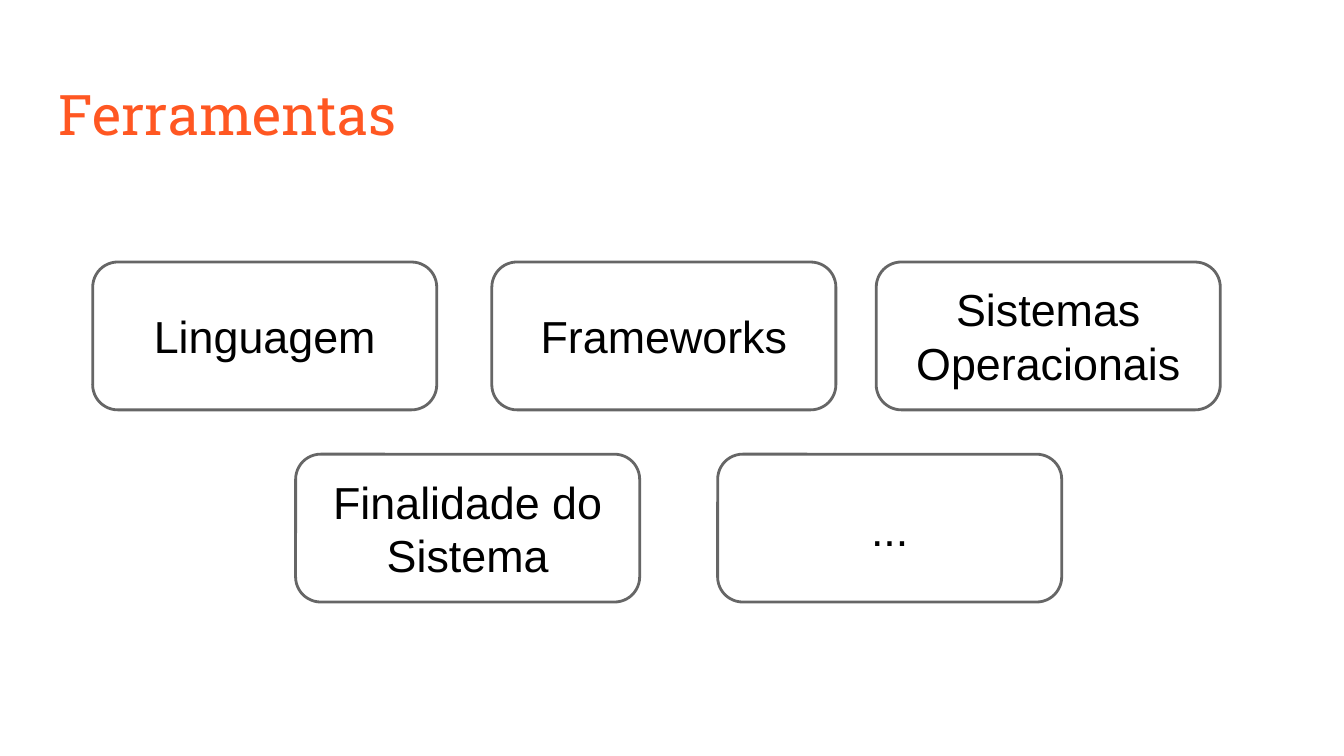
"""Build the "Ferramentas" slide: a title over two rows of rounded boxes."""
from pptx import Presentation
from pptx.dml.color import RGBColor
from pptx.enum.shapes import MSO_SHAPE as Shape
from pptx.enum.text import MSO_ANCHOR as Anchor, PP_ALIGN as Align
from pptx.util import Inches, Pt

ORANGE = RGBColor(0xFF, 0x57, 0x22)
GRAY = RGBColor(0x66, 0x66, 0x66)
BLACK = RGBColor(0x00, 0x00, 0x00)

TITLE_FONT = {"name": "Roboto Slab", "size": Pt(30)}
TOPIC_FONT = {"name": "Arial", "size": Pt(24)}
MARGINS = ("margin_left", "margin_top", "margin_right", "margin_bottom")
FRAME = {"word_wrap": True, **dict.fromkeys(MARGINS, Inches(0.1))}

TOPIC_WIDTH, TOPIC_HEIGHT = Inches(2.56), Inches(1.1)
ROWS = [
    (1.95, [(0.69, "Linguagem"), (3.66, "Frameworks"), (6.52, "Sistemas Operacionais")]),
    (3.38, [(2.2, "Finalidade do Sistema"), (5.34, "...")]),
]


def write(frame, text, font, color, anchor, align):
    for key, value in {**FRAME, "vertical_anchor": anchor}.items():
        setattr(frame, key, value)
    paragraph = frame.paragraphs[0]
    paragraph.alignment = align
    run = paragraph.add_run()
    run.text = text
    for key, value in font.items():
        setattr(run.font, key, value)
    run.font.color.rgb = color


prs = Presentation()
prs.slide_width = Inches(10)
prs.slide_height = prs.slide_width * 9 // 16
slide = prs.slides.add_slide(prs.slide_layouts[6])

title = slide.shapes.add_textbox(Inches(0.34), Inches(0.49), Inches(9.32), Inches(0.63))
write(title.text_frame, "Ferramentas", TITLE_FONT, ORANGE, Anchor.TOP, Align.LEFT)

for top, topics in ROWS:
    for left, label in topics:
        topic = slide.shapes.add_shape(
            Shape.ROUNDED_RECTANGLE, Inches(left), Inches(top), TOPIC_WIDTH, TOPIC_HEIGHT
        )
        topic.adjustments[0] = 0.17
        topic.shadow.inherit = False
        topic.fill.background()
        topic.line.color.rgb = GRAY
        topic.line.width = Pt(1.5)
        write(topic.text_frame, label, TOPIC_FONT, BLACK, Anchor.MIDDLE, Align.CENTER)

prs.save("out.pptx")
